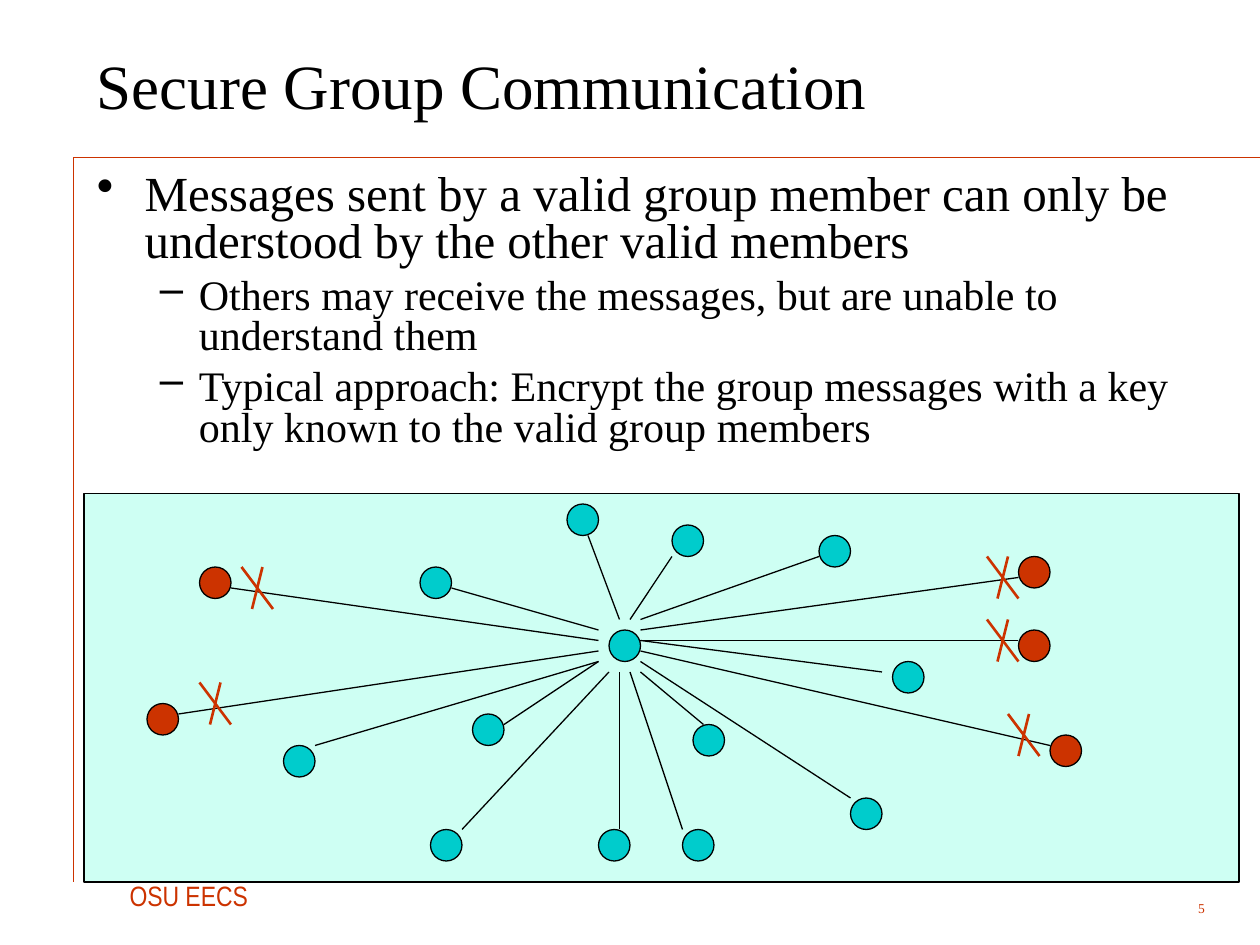
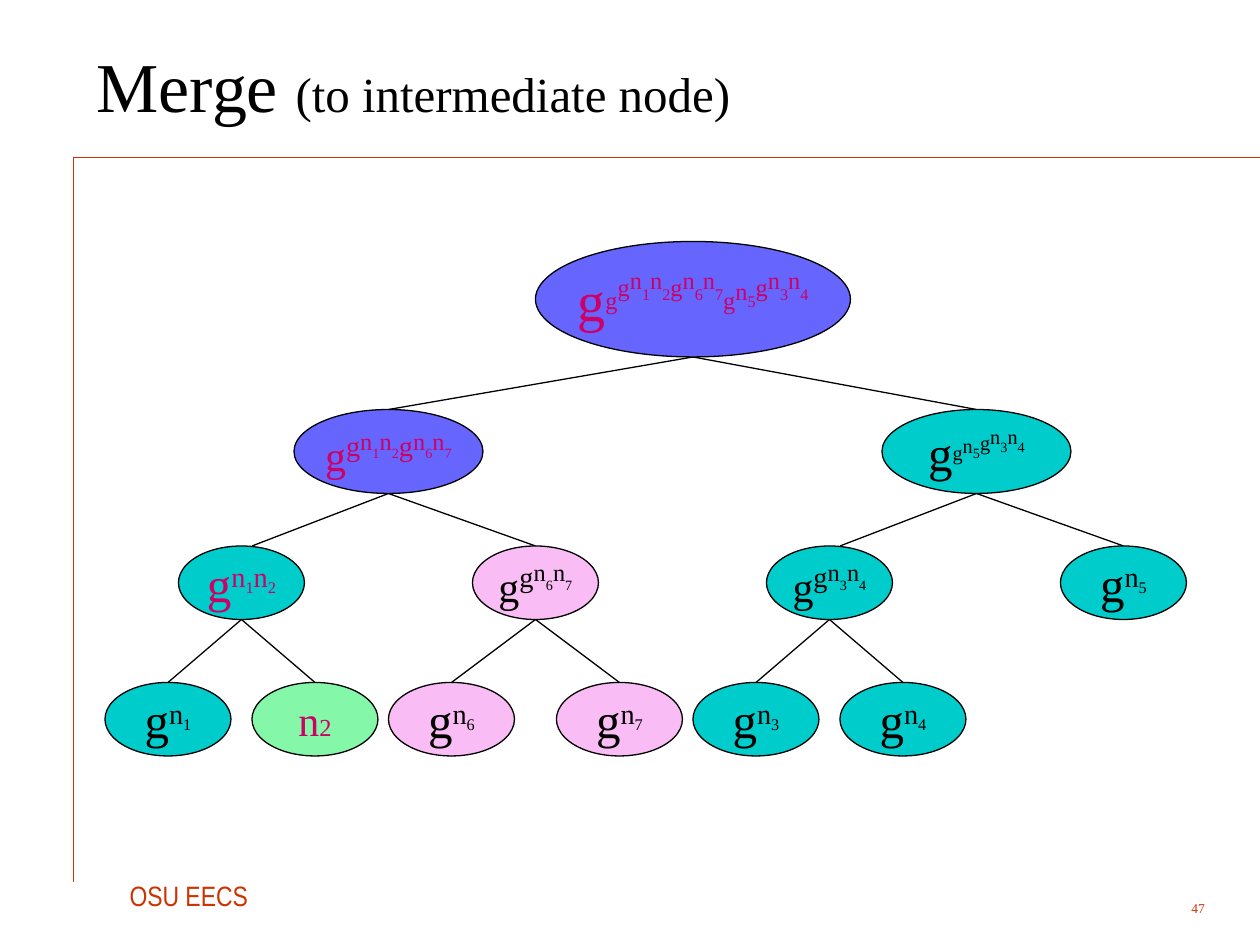
from lxml import etree
from pptx import Presentation
from pptx.dml.color import RGBColor
from pptx.enum import shapes, text
from pptx.oxml.ns import qn
from pptx.util import Inches, Pt

COLOURS = {
    "ink": "000000", "accent": "CC3300", "panel": "CEFFF3", "teal": "00CCCC",
    "blue": "6666FF", "pink": "FABCF4", "green": "85F7A8", "changed": "CC0066",
}
SERIF = "Times New Roman"
DOT = 3

MEMBERS = [
    ((54, 48), (56, 51), (59, 59)),
    ((64, 50), (64, 53), (60, 59)),
    ((78, 51), (78, 53), (61, 59)),
    ((40, 54), (43, 56), (57, 60)),
    ((85, 63), (84, 64), (61, 61)),
    ((45, 68), (48, 69), (57, 63)),
    ((66, 69), (67, 69), (61, 64)),
    ((27, 71), (30, 71), (57, 63)),
    ((81, 76), (81, 76), (61, 63)),
    ((41, 79), (44, 79), (58, 64)),
    ((57, 79), (59, 79), (59, 64)),
    ((65, 79), (65, 79), (60, 64)),
]
OUTSIDERS = [
    ((19, 54), (22, 56), (57, 61)),
    ((14, 67), (17, 68), (57, 62)),
    ((97, 53), (97, 55), (61, 60)),
    ((97, 60), (97, 61), (61, 61)),
    ((100, 70), (100, 71), (61, 62)),
]
SENDER = (58, 60)
CROSSES = [(23, 54), (19, 65), (94, 53), (94, 59), (96, 68)]


def grid(*twelfths):
    return [Inches(value / 12) for value in twelfths]


def colour(name):
    return RGBColor.from_string(COLOURS[name])


def style_font(font, size, name="ink", face=SERIF):
    font.size = Pt(size)
    font.name = face
    font.color.rgb = colour(name)


def add_line(slide, start, end, name="ink", width=0.75):
    line = slide.shapes.add_connector(
        shapes.MSO_CONNECTOR.STRAIGHT, *grid(*start, *end))
    line.line.color.rgb = colour(name)
    line.line.width = Pt(width)
    etree.SubElement(line._element.spPr, qn("a:effectLst"))


def add_shape(slide, kind, box, fill):
    shape = slide.shapes.add_shape(kind, *grid(*box))
    shape.shadow.inherit = False
    shape.fill.solid()
    shape.fill.fore_color.rgb = colour(fill)
    shape.line.color.rgb = colour("ink")
    shape.line.width = Pt(0.75)
    return shape


def add_ellipse(slide, box, fill):
    return add_shape(slide, shapes.MSO_SHAPE.OVAL, box, fill)


def add_text_box(slide, left, top, width, height, wrap=True, middle=False):
    box = slide.shapes.add_textbox(
        Inches(left), Inches(top), Inches(width), Inches(height))
    frame = box.text_frame
    frame.word_wrap = wrap
    if middle:
        frame.vertical_anchor = text.MSO_ANCHOR.MIDDLE
    return frame


def add_base_slide(presentation, title_runs, number):
    slide = presentation.slides.add_slide(presentation.slide_layouts[6])
    add_line(slide, (7, 15), (120, 15), "accent", 0.25)
    add_line(slide, (7, 15), (7, 84), "accent")

    footer = add_text_box(slide, 0.93, 6.92, 1.19, 0.37, wrap=False).paragraphs[0]
    footer.text = "OSU EECS"
    style_font(footer.font, 16, "accent", "Arial Narrow")

    page = add_text_box(slide, 8.83, 7.08, 0.83, 0.25, middle=True).paragraphs[0]
    page.text = str(number)
    page.alignment = text.PP_ALIGN.RIGHT
    style_font(page.font, 7.7, "accent")

    title = add_text_box(slide, 0.67, 0.17, 9.01, 1, middle=True).paragraphs[0]
    for words, size in title_runs:
        run = title.add_run()
        run.text = words
        style_font(run.font, size)
    return slide


def add_bullets(slide, items):
    frame = add_text_box(slide, 0.67, 1.33, 9.08, 2.33)
    for index, (level, words) in enumerate(items):
        paragraph = frame.paragraphs[0] if index == 0 else frame.add_paragraph()
        paragraph.text = words
        paragraph.level = level
        paragraph.line_spacing = 0.8
        if index:
            paragraph.space_before = Pt(6)
        margin, indent, mark, size = [
            (0.38, 0.38, "•", 28), (0.81, 0.31, "–", 24)][level]
        properties = paragraph._p.get_or_add_pPr()
        properties.set("marL", str(Inches(margin)))
        properties.set("indent", str(-Inches(indent)))
        etree.SubElement(properties, qn("a:buChar"), char=mark)
        style_font(paragraph.font, size)


def add_cross(slide, left, top):
    add_line(slide, (left, top), (left + 3, top + 4), "accent", 1.5)
    add_line(slide, (left + 2, top), (left + 1, top + 4), "accent", 1.5)


def secrets(indices, size, index_size, base):
    return [run for index in indices
            for run in (("n", size, base), (index, index_size, base))]


def power(size, base, exponent):
    return [("g", size, base), *exponent]


def leaf_key(indices):
    return power(28, 0, secrets(indices, 28, 16, 30))


def raised_pair(indices):
    return power(28, 30, secrets(indices, 24, 14, 50))


def add_key_node(slide, box, fill, label, ink="ink"):
    frame = add_ellipse(slide, box, fill).text_frame
    frame.word_wrap = False
    frame.vertical_anchor = text.MSO_ANCHOR.MIDDLE
    paragraph = frame.paragraphs[0]
    paragraph.alignment = text.PP_ALIGN.CENTER
    for words, size, base in label:
        run = paragraph.add_run()
        run.text = words
        style_font(run.font, size, ink)
        if base:
            run._r.get_or_add_rPr().set("baseline", str(base * 1000))


def add_branch(slide, parent, child, shift=0):
    left, top, width, height = parent
    child_left, child_top, child_width, _ = child
    add_line(slide, (left + width / 2, top + height),
             (child_left + child_width / 2 + shift, child_top))


def build_group_slide(presentation):
    slide = add_base_slide(presentation, [("Secure Group Communication", 36)], 5)
    add_bullets(slide, [
        (0, "Messages sent by a valid group member can only be understood "
            "by the other valid members"),
        (1, "Others may receive the messages, but are unable to understand them"),
        (1, "Typical approach: Encrypt the group messages with a key only "
            "known to the valid group members"),
    ])
    add_shape(slide, shapes.MSO_SHAPE.RECTANGLE, (8, 47, 110, 37), "panel")
    for receivers, fill in ((MEMBERS, "teal"), (OUTSIDERS, "accent")):
        for dot, start, end in receivers:
            add_ellipse(slide, (*dot, DOT, DOT), fill)
            add_line(slide, start, end)
    add_ellipse(slide, (*SENDER, DOT, DOT), "teal")
    for cross in CROSSES:
        add_cross(slide, *cross)


def build_merge_slide(presentation):
    slide = add_base_slide(
        presentation, [("Merge ", 40), ("(to intermediate node)", 28)], 47)

    root = (51, 23, 30, 11)
    left, right = [(x, 39, 18, 8) for x in (28, 84)]
    key_12, key_67, key_34, key_5 = [(x, 52, 12, 7) for x in (17, 45, 73, 101)]
    key_1, secret_2, key_6, key_7, key_3, key_4 = [
        (x, 65, 12, 7) for x in (10, 24, 37, 53, 66, 80)]

    for parent, children in (
            (root, (left, right)), (key_12, (key_1, secret_2)),
            (key_67, (key_6, key_7)), (key_34, (key_3, key_4))):
        for child in children:
            add_branch(slide, parent, child)
    for parent, inner, outer in ((left, key_12, key_67), (right, key_34, key_5)):
        add_branch(slide, parent, inner, shift=1)
        add_branch(slide, parent, outer)

    root_label = power(32, 0, power(24, 30, [
        *power(24, 60, secrets("12", 24, 16, 76)),
        *power(24, 60, secrets("67", 24, 16, 76)),
        *power(24, 30, secrets("5", 24, 16, 50)),
        *power(24, 60, secrets("34", 24, 16, 76))]))
    right_label = power(28, 0, [
        *power(20, 30, secrets("5", 20, 14, 50)),
        *power(20, 60, secrets("34", 20, 14, 76))])
    left_label = power(24, 0, raised_pair("12") + raised_pair("67"))

    add_key_node(slide, root, "blue", root_label, "changed")
    add_key_node(slide, left, "blue", left_label, "changed")
    add_key_node(slide, right, "teal", right_label)
    add_key_node(slide, key_12, "teal", leaf_key("12"), "changed")
    add_key_node(slide, secret_2, "green", secrets("2", 24, 14, 0), "changed")
    for box, fill, pair in ((key_67, "pink", "67"), (key_34, "teal", "34")):
        add_key_node(slide, box, fill, power(24, 0, raised_pair(pair)))
    for box, fill, index in (
            (key_1, "teal", "1"), (key_3, "teal", "3"), (key_4, "teal", "4"),
            (key_5, "teal", "5"), (key_6, "pink", "6"), (key_7, "pink", "7")):
        add_key_node(slide, box, fill, leaf_key(index))


def main():
    presentation = Presentation()
    presentation.slide_width = Inches(10)
    presentation.slide_height = Inches(7.5)
    build_group_slide(presentation)
    build_merge_slide(presentation)
    presentation.save("out.pptx")


if __name__ == "__main__":
    main()
